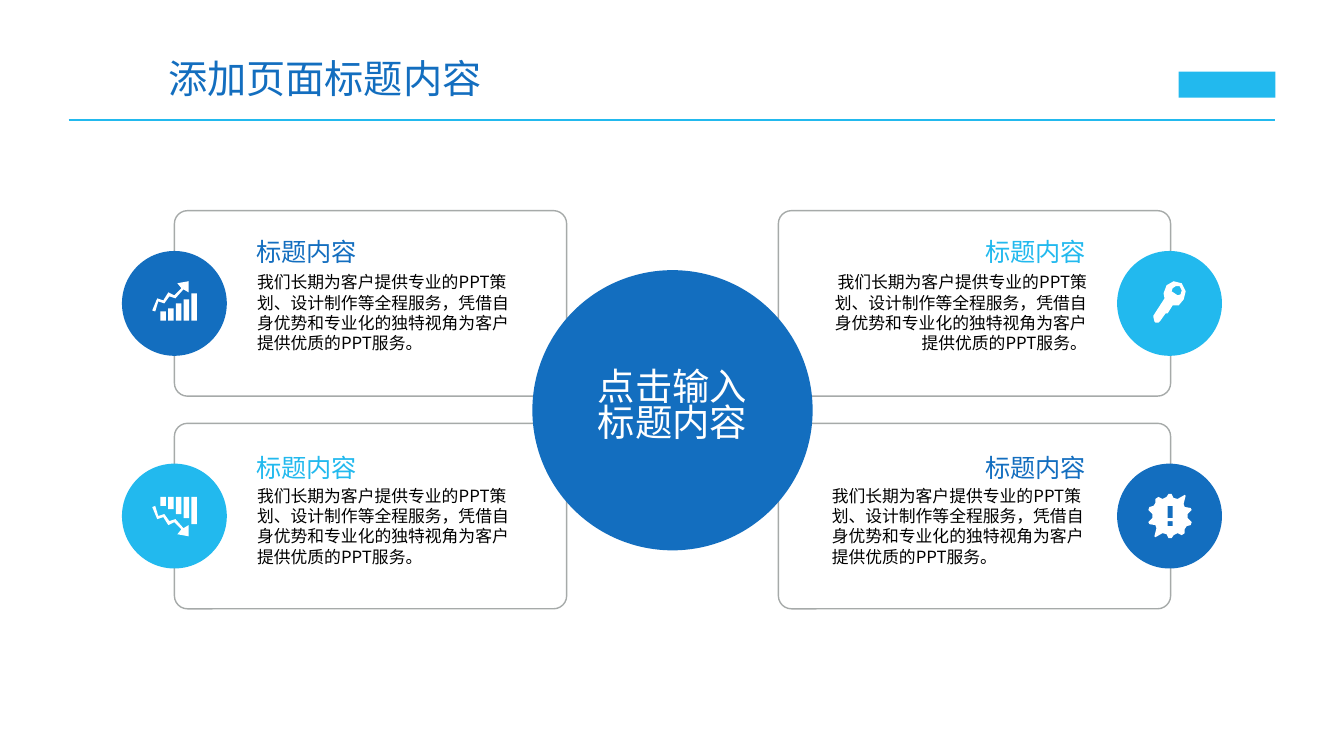
"""Build a slide with four cards around a central circle."""
from lxml import etree
from pptx import Presentation
from pptx.dml.color import RGBColor
from pptx.enum.shapes import MSO_CONNECTOR, MSO_SHAPE
from pptx.enum.text import MSO_ANCHOR, PP_ALIGN
from pptx.oxml.ns import qn
from pptx.util import Inches, Pt

RECT, ROUND, OVAL = MSO_SHAPE.RECTANGLE, MSO_SHAPE.ROUNDED_RECTANGLE, MSO_SHAPE.OVAL
LINE = MSO_CONNECTOR.STRAIGHT
TOP, MIDDLE = MSO_ANCHOR.TOP, MSO_ANCHOR.MIDDLE
LEFT, CENTER, RIGHT = PP_ALIGN.LEFT, PP_ALIGN.CENTER, PP_ALIGN.RIGHT
BLUE, CYAN, GRAY, BLACK, WHITE = "136EBF", "22B9EE", "A6AAA9", "000000", "FFFFFF"
FONT = "Noto Sans CJK SC"
HEAD = "标题内容"
BODY = "我们长期为客户提供专业的PPT策划、设计制作等全程服务，凭借自身优势和专业化的独特视角为客户提供优质的PPT服务。"


def tint(fill, color):
    fill.solid()
    fill.fore_color.rgb = RGBColor.from_string(color)


def trace(loops):
    pen = None
    for loop in loops:
        pts = [(Inches(x), Inches(y)) for x, y in loop]
        if pen is None:
            pen = shapes.build_freeform(*pts[0])
        else:
            pen.move_to(*pts[0])
        pen.add_line_segments(pts[1:], close=True)
    icon = pen.convert_to_shape()
    icon.shadow.inherit = False
    tint(icon.fill, WHITE)
    icon.line.fill.background()


prs = Presentation()
prs.slide_width, prs.slide_height = Inches(13.33), Inches(7.5)
slide = prs.slides.add_slide(prs.slide_layouts[6])
shapes = slide.shapes

rule = shapes.add_connector(LINE, Inches(0.68), Inches(1.19), Inches(12.65), Inches(1.19))
tint(rule.line.fill, CYAN)
rule.line.width = Pt(2)
etree.SubElement(rule._element.spPr, qn("a:effectLst"))

cards = [
    (1.73, 2.09, BLUE, 2.54, LEFT, LEFT),
    (7.72, 2.09, CYAN, 8.73, RIGHT, RIGHT),
    (1.73, 4.2, CYAN, 2.54, LEFT, LEFT),
    (7.72, 4.2, BLUE, 8.73, RIGHT, LEFT),
]
blocks = [(RECT, 11.69, 0.71, 0.96, 0.26, CYAN)]
blocks += [(ROUND, x, y, 3.89, 1.84, None) for x, y, *_ in cards]
blocks += [(OVAL, 5.28, 2.68, 2.78, 2.78, BLUE)]
blocks += [(OVAL, 1.21 if x < 5 else 11.08, y + 0.4, 1.04, 1.04, color)
           for x, y, color, *_ in cards]
for kind, x, y, w, h, color in blocks:
    block = shapes.add_shape(kind, Inches(x), Inches(y), Inches(w), Inches(h))
    block.shadow.inherit = False
    if color:
        tint(block.fill, color)
        block.line.fill.background()
    else:
        block.adjustments[0] = 0.07
        block.fill.background()
        tint(block.line.fill, GRAY)
        block.line.width = Pt(1)

arrow = [
    (1.68, 2.94), (1.74, 2.96), (1.82, 2.87), (1.87, 2.9), (1.87, 2.79), (1.76, 2.81),
    (1.8, 2.86), (1.73, 2.93), (1.67, 2.9), (1.62, 2.98), (1.56, 2.96), (1.51, 3.08),
    (1.54, 3.09), (1.57, 2.99), (1.63, 3.01),
]
growth = [arrow]
for i, top in enumerate([3.09, 3.06, 3.01, 2.97, 2.91]):
    x = 1.59 + 0.077 * i
    growth.append([(x, top), (x + 0.055, top), (x + 0.055, 3.18), (x, 3.18)])
trace(growth)
trace([[(x, 8.11 - y) for x, y in loop] for loop in growth])

key = [
    (11.76, 2.89), (11.72, 2.81), (11.64, 2.79), (11.57, 2.83), (11.54, 2.91),
    (11.55, 2.96), (11.44, 3.13), (11.44, 3.15), (11.45, 3.19), (11.46, 3.2),
    (11.49, 3.2), (11.51, 3.18), (11.56, 3.11), (11.58, 3.11), (11.63, 3.03),
    (11.69, 3.03), (11.74, 2.97),
]
hole = [
    (11.71, 2.92), (11.68, 2.93), (11.65, 2.91), (11.62, 2.89), (11.63, 2.86),
    (11.66, 2.84), (11.7, 2.84), (11.72, 2.88),
]
trace([key, hole])

half = [
    (11.82, 5.18), (11.78, 5.14), (11.78, 5.1), (11.82, 5.06), (11.81, 5.04),
    (11.75, 5.03), (11.74, 5), (11.76, 4.92), (11.75, 4.91), (11.68, 4.95),
    (11.64, 4.94), (11.62, 4.9), (11.59, 4.9), (11.57, 4.93), (11.53, 4.95),
    (11.49, 4.93), (11.46, 4.95), (11.46, 4.99), (11.44, 5.02), (11.4, 5.03),
]
badge = [half + [(23.21 - x, 10.24 - y) for x, y in half]]
for top, end in [(5.02, 5.14), (5.17, 5.22)]:
    badge.append([(11.58, top), (11.63, top), (11.63, end), (11.58, end)])
trace(badge)

texts = [
    ("添加页面标题内容", 1.57, 0.49, 3.52, 0.57, 28, BLUE, LEFT, MIDDLE, 1),
    ("点击输入标题内容", 5.83, 3.7, 1.68, 0.69, 26.7, WHITE, CENTER, MIDDLE, 0.8),
]
for x, y, color, left, side, flow in cards:
    head, body = (2.24, 2.7) if y < 3 else (4.39, 4.82)
    start = 2.55 if x < 5 else 8.25
    texts.append((HEAD, left, head, 2.04, 0.44, 18, color, side, MIDDLE, 1.2))
    texts.append((BODY, start, body, 2.53, 1.1, 12, BLACK, flow, TOP, 1))
for text, x, y, w, h, size, color, align, anchor, gap in texts:
    frame = shapes.add_textbox(Inches(x), Inches(y), Inches(w), Inches(h)).text_frame
    frame.text = text
    frame.word_wrap = True
    frame.vertical_anchor = anchor
    if size != 28:
        frame.margin_left = frame.margin_right = 0
        frame.margin_top = frame.margin_bottom = 0
    para = frame.paragraphs[0]
    para.alignment = align
    para.line_spacing = gap
    run = para.runs[0]
    run.font.size = Pt(size)
    run.font.name = FONT
    tint(run.font.fill, color)
    etree.SubElement(run._r.get_or_add_rPr(), qn("a:ea"), typeface=FONT)

prs.save("out.pptx")
